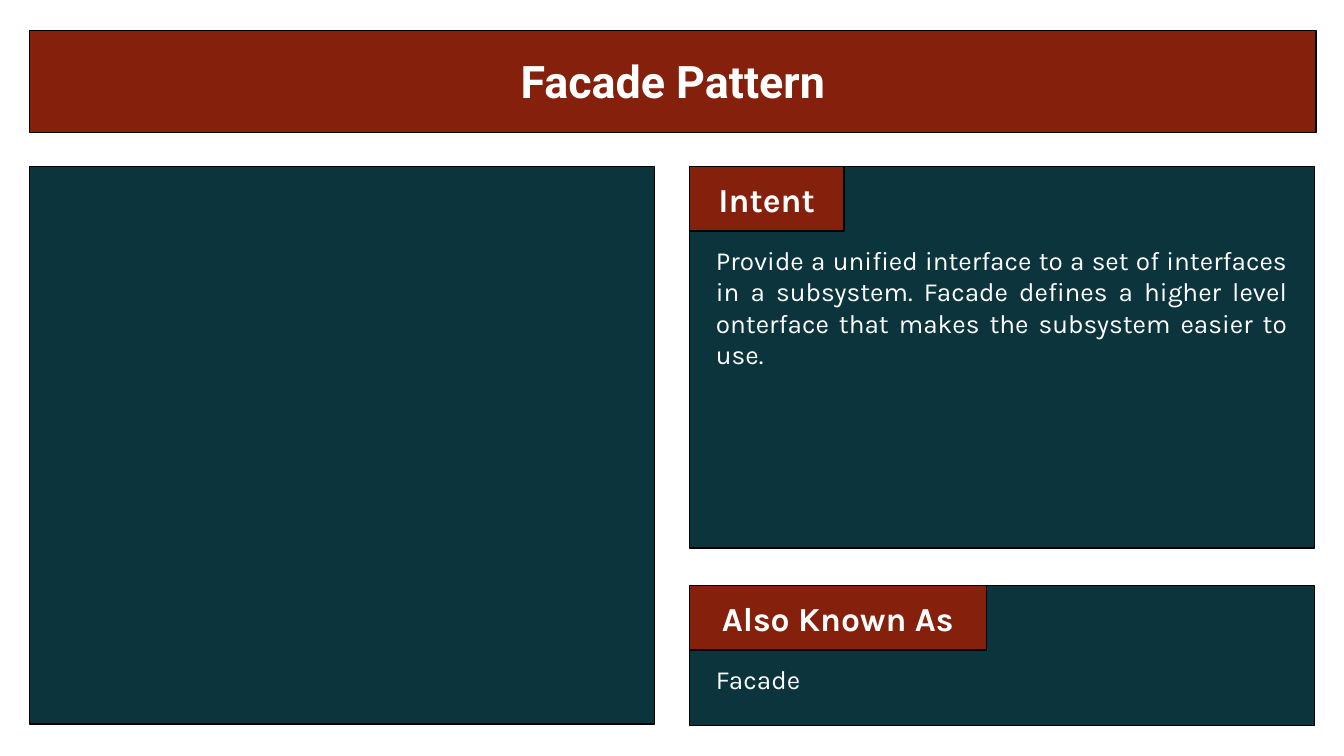
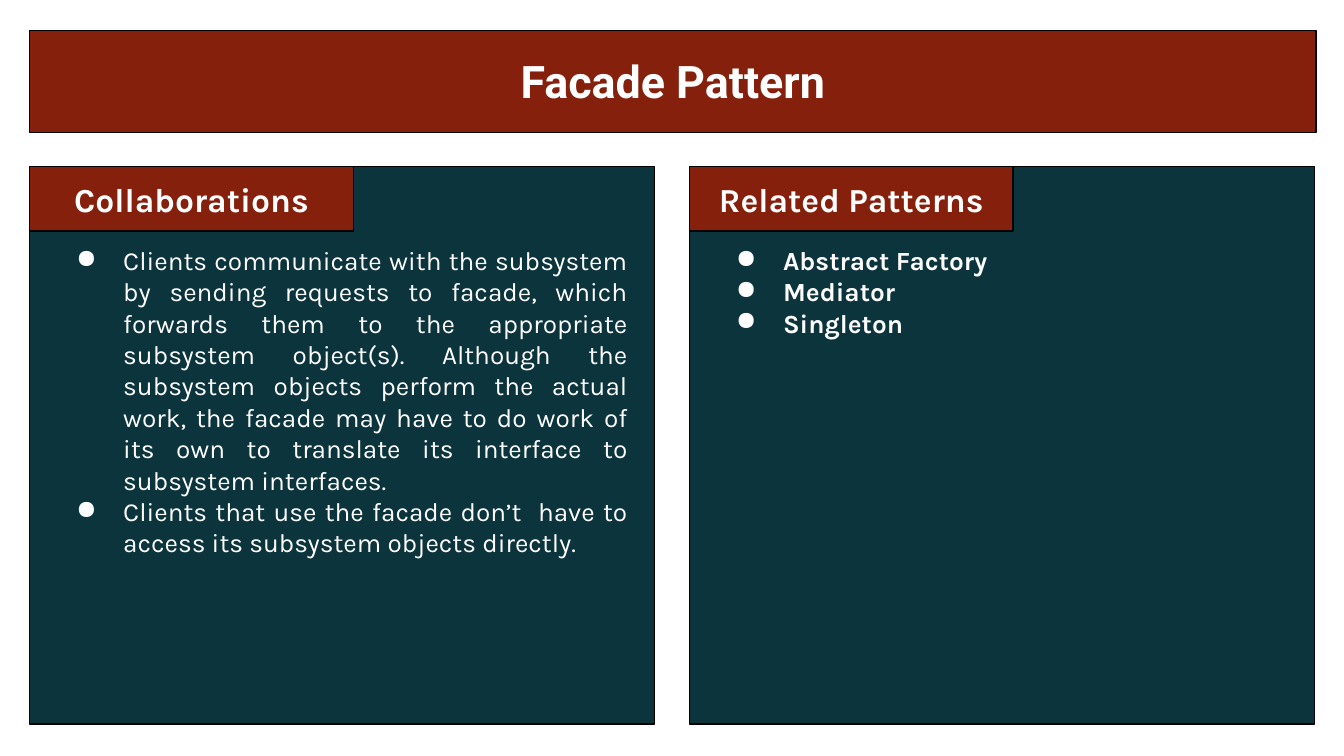
"""Build two slides that describe the Facade design pattern."""
from lxml.etree import SubElement
from pptx import Presentation
from pptx.dml.color import RGBColor
from pptx.enum.shapes import MSO_SHAPE
from pptx.enum.text import MSO_ANCHOR, PP_ALIGN
from pptx.oxml.ns import qn
from pptx.util import Cm, Pt

HUES = {"red": "85200C", "teal": "0C343D", "white": "FFFFFF", "black": "000000"}
LEFT, RIGHT, TOP = 0.56, 13.03, 3.15
WIDE, HALF, FULL = 24.31, 11.81, 10.54
TAB, PAD = 1.22, 0.25


class Deck:
    """Hold the style and the current slide."""

    def __init__(self):
        self.deck = Presentation()
        self.deck.slide_width, self.deck.slide_height = Cm(25.4), Cm(14.29)
        self.slide = None

    def hue(self, name):
        return RGBColor.from_string(HUES[name])

    def page(self, title):
        self.slide = self.deck.slides.add_slide(self.deck.slide_layouts[6])
        self.rect(LEFT, 0.58, WIDE, 1.93, "red")
        box = self.box(LEFT, 0.76, WIDE, 1.6)
        self.label(box, title, 24, "Roboto", True, PP_ALIGN.CENTER)

    def rect(self, x, y, w, h, fill):
        rect = self.slide.shapes.add_shape(
            MSO_SHAPE.RECTANGLE, Cm(x), Cm(y), Cm(w), Cm(h))
        rect.shadow.inherit = False
        rect.fill.solid()
        rect.fill.fore_color.rgb = self.hue(fill)
        rect.line.color.rgb = self.hue("black")
        rect.line.width = Pt(0.75)
        return rect

    def box(self, x, y, w, h):
        return self.slide.shapes.add_textbox(Cm(x), Cm(y), Cm(w), Cm(h))

    def label(self, shape, text, size, font, bold, align):
        frame = shape.text_frame
        frame.word_wrap = True
        frame.margin_left = frame.margin_right = Cm(PAD)
        frame.margin_top = frame.margin_bottom = Cm(PAD)
        frame.text = text
        for para in frame.paragraphs:
            para.alignment = align
            for run in para.runs:
                run.font.size = Pt(size)
                run.font.name = font
                run.font.bold = bold
                run.font.color.rgb = self.hue("white")

    def dots(self, shape):
        for para in shape.text_frame.paragraphs:
            props = para._p.get_or_add_pPr()
            props.set("marL", str(Cm(1.27)))
            props.set("indent", str(-Cm(0.89)))
            tint = SubElement(props, qn("a:buClr"))
            SubElement(tint, qn("a:srgbClr")).set("val", HUES["white"])
            SubElement(props, qn("a:buChar")).set("char", "●")

    def panel(self, x, y, h, head, width, text, depth, bold=False, dots=False):
        self.rect(x, y, HALF, h, "teal")
        tab = self.rect(x, y, width, TAB, "red")
        self.label(tab, head, 18, "Karla", True, PP_ALIGN.CENTER)
        tab.text_frame.vertical_anchor = MSO_ANCHOR.MIDDLE
        body = self.box(x + PAD, y + TAB, HALF - 2 * PAD, depth)
        self.label(body, text, 14, "Karla", bold, PP_ALIGN.JUSTIFY)
        if dots:
            self.dots(body)


def main():
    show = Deck()
    title = "Facade Pattern"

    show.page(title)
    show.rect(LEFT, TOP, HALF, FULL, "teal")
    show.panel(RIGHT, TOP, 7.21, "Intent", 2.92,
               "Provide a unified interface to a set of interfaces in a "
               "subsystem. Facade defines a higher level onterface that makes "
               "the subsystem easier to use.", 3.07)
    show.panel(RIGHT, 11.07, 2.64, "Also Known As", 5.61, "Facade", 1.02)

    show.page(title)
    show.panel(RIGHT, TOP, FULL, "Related Patterns", 6.12,
               "Abstract Factory\nMediator\nSingleton", 8.86,
               bold=True, dots=True)
    show.panel(LEFT, TOP, FULL, "Collaborations", 6.12,
               "Clients communicate with the subsystem by sending requests to "
               "facade, which forwards them to the appropriate subsystem "
               "object(s). Although the subsystem objects perform the actual "
               "work, the facade may have to do work of its own to translate "
               "its interface to subsystem interfaces.\n"
               "Clients that use the facade don’t  have to access its "
               "subsystem objects directly.", 3.07, dots=True)

    show.deck.save("out.pptx")


if __name__ == "__main__":
    main()
